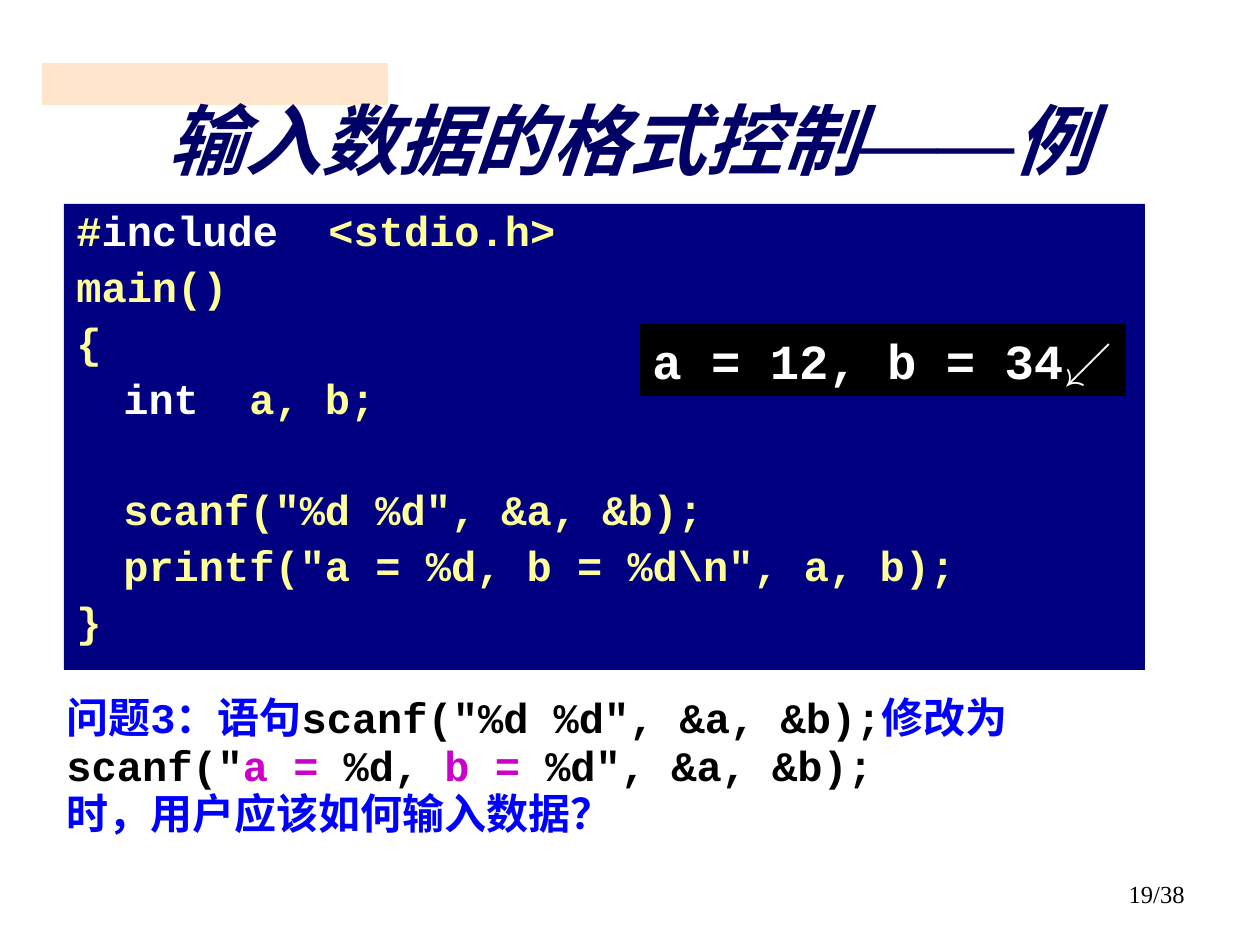
"""Build the slide on format control of input data, with a C example and a question."""
from lxml import etree
from pptx import Presentation, util as u
from pptx.dml.color import RGBColor
from pptx.enum import shapes, text
from pptx.oxml import ns

PX = 914400 / 126
MONO, SANS, SERIF = "Courier New", "Noto Sans CJK SC", "Times New Roman"
NAVY, CREAM, WHITE, BLACK = "000080", "FFFF99", "FFFFFF", "000000"
BLUE, PINK, INK = "0000FF", "CC00CC", "000066"


def box(x, y, w, h, fill=None):
    area = [int(n * PX) for n in (x, y, w, h)]
    if fill:
        item = deck.shapes.add_shape(shapes.MSO_SHAPE.RECTANGLE, *area)
        item.shadow.inherit = False
        item.fill.solid()
        item.fill.fore_color.rgb = RGBColor.from_string(fill)
        item.line.fill.background()
    else:
        item = deck.shapes.add_textbox(*area)
    item.text_frame.word_wrap = True
    item.text_frame.vertical_anchor = text.MSO_ANCHOR.TOP
    return item


def write(para, runs, size, face=MONO, east=None, bold=True, align=text.PP_ALIGN.LEFT, lead=1.0):
    para.alignment, para.line_spacing = align, lead
    font = para.font
    font.size, font.bold, font.name = u.Pt(size), bold, face
    if east:
        etree.SubElement(font._element, ns.qn("a:ea"), typeface=east)
    for words, hue in runs:
        run = para.add_run()
        run.text = words
        run.font.color.rgb = RGBColor.from_string(hue)


prs = Presentation()
prs.slide_width, prs.slide_height = u.Inches(10), u.Inches(7.5)
deck = prs.slides.add_slide(prs.slide_layouts[6])

page = box(903, 873, 294, 66).text_frame.paragraphs[0]
write(page, [("19/38", BLACK)], 14, SERIF, bold=False, align=text.PP_ALIGN.RIGHT)

band = box(42, 63, 346, 42, "FFCC99")
tint = band.fill._xPr.find(".//" + ns.qn("a:srgbClr"))
etree.SubElement(tint, ns.qn("a:alpha"), val="50000")

code = box(64, 204, 1081, 466, NAVY).text_frame
lines = [
    (0, 0, [("#", CREAM), ("include", WHITE), ("  <stdio.h>", CREAM)]),
    (0, 6, [("main()", CREAM)]),
    (0, 6, [("{", CREAM)]),
    (47, 6, [("int", WHITE), ("  a, b;", CREAM)]),
    (47, 38, [('scanf("%d %d", &a, &b);', CREAM)]),
    (47, 6, [('printf("a = %d, b = %d\\n", a, b);', CREAM)]),
    (0, 6, [("}", CREAM)]),
]
for i, (left, gap, runs) in enumerate(lines):
    para = code.add_paragraph() if i else code.paragraphs[0]
    para.space_before = u.Pt(gap)
    para._p.get_or_add_pPr().set("marL", str(int(left * PX)))
    write(para, runs, 24, lead=0.9)

ask = box(54, 689, 1101, 199).text_frame
write(ask.paragraphs[0], [
    ("问题3：语句", BLUE), ('scanf("%d %d", &a, &b);', BLACK), ("修改为", BLUE),
    ('scanf("', BLACK), ("a =", PINK), (" %d, ", BLACK), ("b =", PINK),
    (' %d", &a, &b);', BLACK),
], 24, east=SANS, lead=0.95)
write(ask.add_paragraph(), [("时，用户应该如何输入数据？", BLUE)], 24, east=SANS, lead=0.95)

entry = box(640, 324, 486, 72, BLACK).text_frame
entry.vertical_anchor = text.MSO_ANCHOR.MIDDLE
write(entry.paragraphs[0], [("a = 12, b = 34↙", WHITE)], 28)

title = box(74, 88, 1111, 116).text_frame
title.vertical_anchor = text.MSO_ANCHOR.MIDDLE
head = title.paragraphs[0]
write(head, [("输入数据的格式控制", INK), ("——", INK), ("例", INK)], 44, SANS, SANS,
      align=text.PP_ALIGN.CENTER, lead=0.85)
head.font.italic = True
for run in head.runs:
    glow = etree.SubElement(run.font._element, ns.qn("a:effectLst"))
    cast = etree.SubElement(glow, ns.qn("a:outerShdw"), dist="25400", dir="2700000")
    etree.SubElement(cast, ns.qn("a:srgbClr"), val=BLACK)
dash = head.runs[1].font
dash.name = SERIF
etree.SubElement(dash._element, ns.qn("a:ea"), typeface=SERIF)

prs.save("out.pptx")
